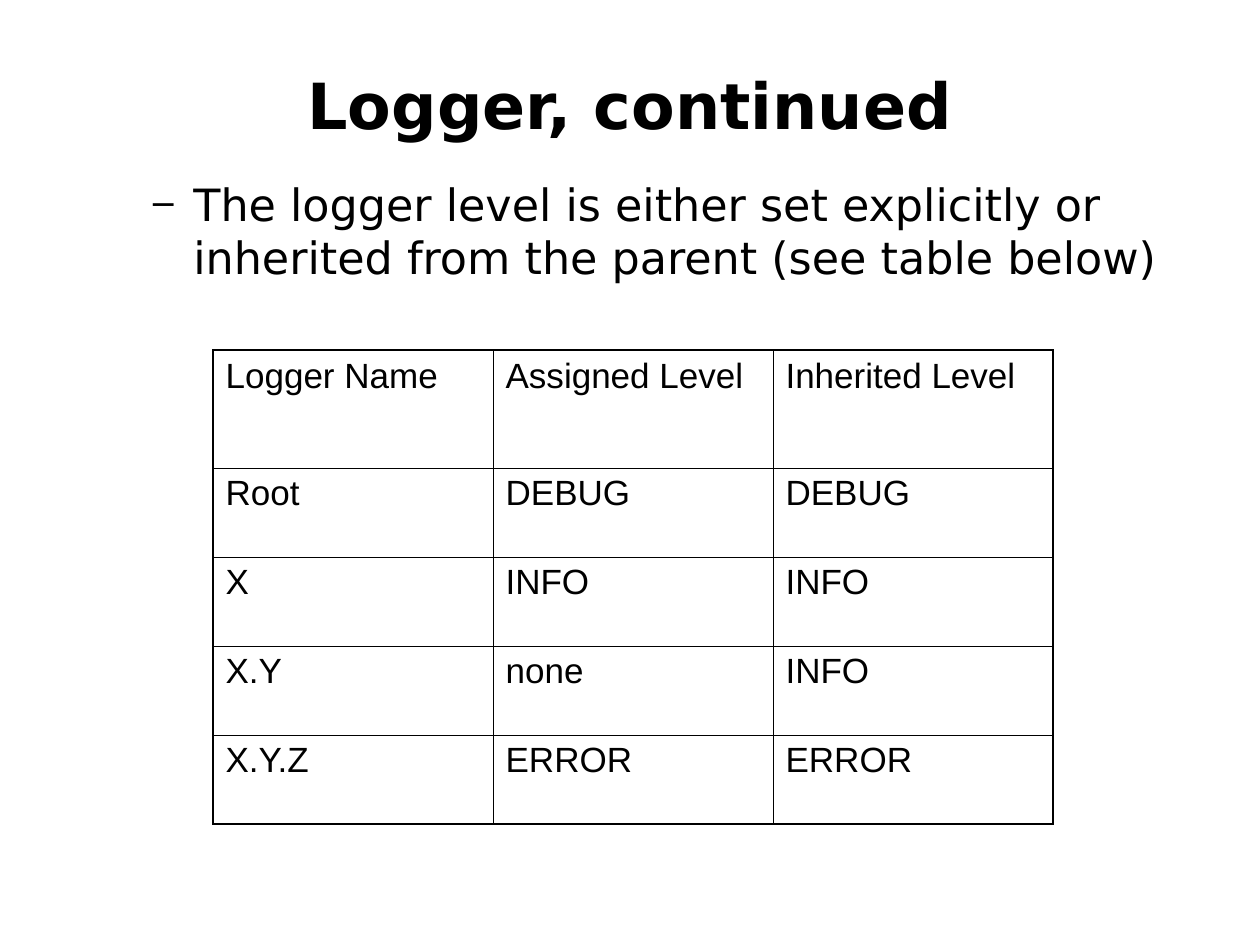
"""Build the slide on logger levels with its table."""
from dataclasses import dataclass

from lxml import etree
from pptx import Presentation
from pptx.dml.color import RGBColor
from pptx.enum.text import MSO_ANCHOR, MSO_AUTO_SIZE, PP_ALIGN
from pptx.oxml.ns import qn
from pptx.util import Emu, Pt

CENTER, LEFT = PP_ALIGN.CENTER, PP_ALIGN.LEFT
TOP, BOTTOM = MSO_ANCHOR.TOP, MSO_ANCHOR.BOTTOM
NO_FIT = MSO_AUTO_SIZE.NONE

TITLE = "Logger, continued"
POINT = ("The logger level is either set explicitly or "
         "inherited from the parent (see table below)")
LEVELS = [
    ("Logger Name", "Assigned Level", "Inherited Level"),
    ("Root", "DEBUG", "DEBUG"),
    ("X", "INFO", "INFO"),
    ("X.Y", "none", "INFO"),
    ("X.Y.Z", "ERROR", "ERROR"),
]

SLIDE = (1260, 945)
TITLE_BOX = (63, 38, 1134, 111)
POINT_BOX = (63, 171, 1109, 737)
GRID_AT = (213, 350)
COL, HEAD, ROW = 280, 118, 89
MARGIN, HANG = 118, 44
SCALE = 914400 / 126


@dataclass(frozen=True)
class Theme:
    ink: str = "000000"
    sans: str = "DejaVu Sans"
    grid: str = "Arial"
    title: float = 36.3
    point: float = 25.4
    cell: float = 20
    thin: float = 0.45
    thick: float = 1.08


THEME = Theme()


def px(value):
    """Turn px into EMU."""
    return Emu(round(value * SCALE))


def place(shape, box):
    """Move and size a shape."""
    shape.left, shape.top, shape.width, shape.height = map(px, box)


def write(frame, text, font, size, bold=False, align=LEFT, before=0):
    """Write one styled run and return its paragraph."""
    para = frame.paragraphs[0]
    para.alignment = align
    para.space_before = Pt(before)
    run = para.add_run()
    run.text = text
    run.font.name = font
    run.font.size = Pt(size)
    run.font.bold = bold
    run.font.color.rgb = RGBColor.from_string(THEME.ink)
    return para


def tint(parent, tag):
    """Add a colour element in the ink colour."""
    node = etree.SubElement(parent, qn(tag))
    etree.SubElement(node, qn("a:srgbClr"), val=THEME.ink)


def bullet(para, char):
    """Give a paragraph a hanging bullet."""
    props = para._p.get_or_add_pPr()
    props.set("marL", str(px(MARGIN)))
    props.set("indent", str(-px(HANG)))
    tint(props, "a:buClr")
    etree.SubElement(props, qn("a:buSzPct"), val="75000")
    etree.SubElement(props, qn("a:buFont"), typeface=THEME.sans)
    etree.SubElement(props, qn("a:buChar"), char=char)


def border(cell, edges):
    """Draw the four cell borders, thick on the outer edges."""
    props = cell._tc.get_or_add_tcPr()
    for side, outer in edges.items():
        width = THEME.thick if outer else THEME.thin
        line = etree.SubElement(props, qn(f"a:ln{side}"), w=str(Pt(width)))
        tint(line, "a:solidFill")


def add_grid(slide):
    """Add the table of levels."""
    rows, cols = len(LEVELS), len(LEVELS[0])
    high = [HEAD] + [ROW] * (rows - 1)
    box = (*GRID_AT, COL * cols, sum(high))
    table = slide.shapes.add_table(rows, cols, *map(px, box)).table
    table.first_row = table.horz_banding = False
    for col in table.columns:
        col.width = px(COL)
    for r, texts in enumerate(LEVELS):
        table.rows[r].height = px(high[r])
        for c, text in enumerate(texts):
            cell = table.cell(r, c)
            write(cell.text_frame, text, THEME.grid, THEME.cell, before=5)
            border(cell, {"L": c == 0, "R": c == cols - 1,
                          "T": r == 0, "B": r == rows - 1})
            cell.fill.background()


def main():
    """Build and save the slide."""
    deck = Presentation()
    deck.slide_width, deck.slide_height = map(px, SLIDE)
    slide = deck.slides.add_slide(deck.slide_layouts[5])

    title = slide.shapes.title
    place(title, TITLE_BOX)
    title.text_frame.vertical_anchor = BOTTOM
    title.text_frame.auto_size = NO_FIT
    write(title.text_frame, TITLE, THEME.sans, THEME.title, True, CENTER)

    frame = slide.shapes.add_textbox(*map(px, POINT_BOX)).text_frame
    frame.word_wrap = True
    frame.vertical_anchor = TOP
    bullet(write(frame, POINT, THEME.sans, THEME.point, before=5.5), "−")

    add_grid(slide)
    deck.save("out.pptx")


if __name__ == "__main__":
    main()
